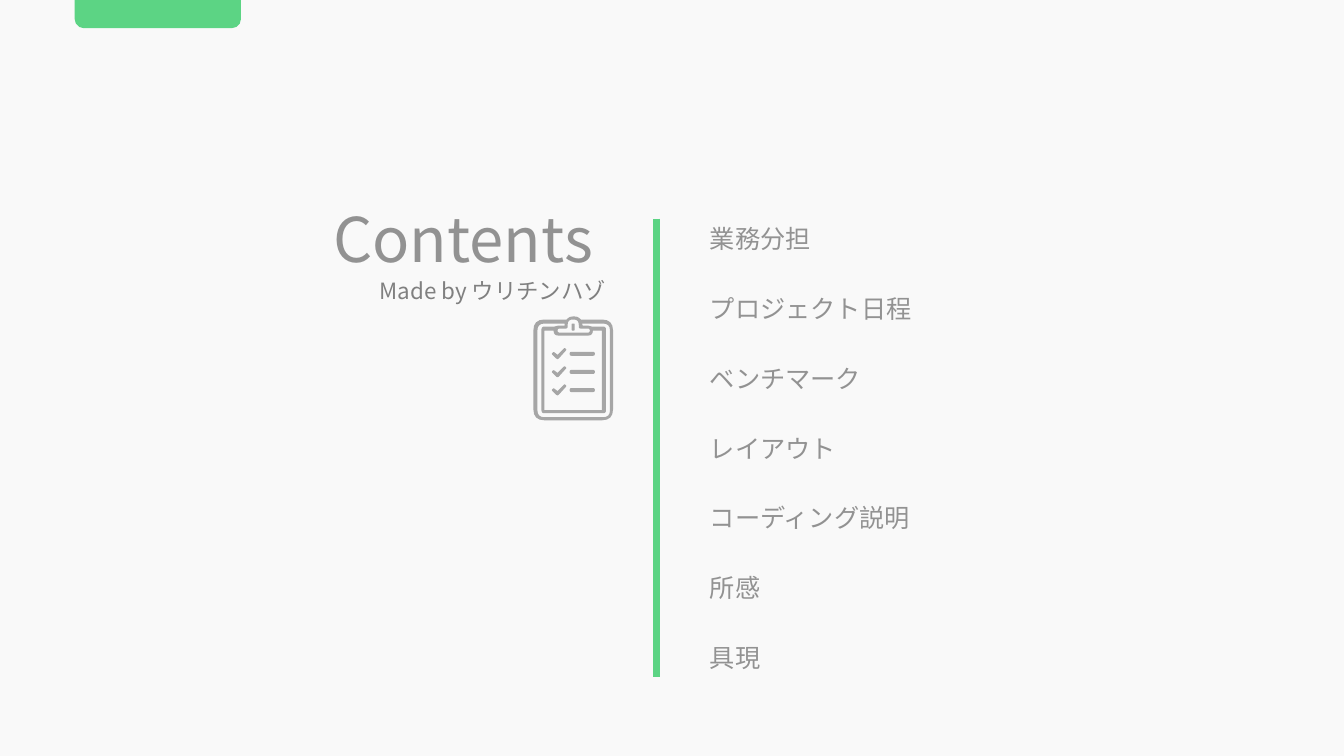
from pptx import Presentation
from pptx.dml.color import RGBColor
from pptx.enum.shapes import MSO_CONNECTOR, MSO_SHAPE
from pptx.enum.text import MSO_ANCHOR, MSO_AUTO_SIZE, PP_ALIGN
from pptx.oxml.ns import qn
from pptx.util import Inches, Pt

FONT = "Noto Sans CJK KR"
COLORS = {"background": "F9F9F9", "green": "5CD484", "text": "929292",
          "author": "808080", "icon": "A6A6A6"}

TITLE = "Contents "
AUTHOR = "Made by ウリチンハゾ"
TOPICS = ["業務分担", "プロジェクト日程", "ベンチマーク", "レイアウト",
          "コーディング説明", "所感", "具現"]
TOPIC_PITCH = 49.8
TOPIC_LINE = 21.6

# Clipboard outlines: corners as (x, y, radius) in inches
BOARD = [
    [(5.29, 3.17, 0.11), (5.62, 3.17, 0), (5.65, 3.14, 0.03), (5.73, 3.14, 0.03),
     (5.76, 3.17, 0), (6.08, 3.17, 0.11), (6.08, 4.17, 0.11), (5.29, 4.17, 0.11)],
    [(5.63, 3.17, 0.05), (5.74, 3.17, 0.05), (5.74, 3.26, 0.02), (5.85, 3.26, 0.02),
     (5.85, 3.3, 0.02), (5.53, 3.3, 0.02), (5.53, 3.26, 0.02), (5.63, 3.26, 0.02)],
    [(5.4, 3.28, 0), (5.49, 3.28, 0), (5.49, 3.33, 0.05), (5.88, 3.33, 0.05),
     (5.88, 3.28, 0), (5.97, 3.28, 0), (5.97, 4.07, 0), (5.4, 4.07, 0)],
    [(5.33, 3.21, 0.07), (5.6, 3.21, 0), (5.6, 3.23, 0), (5.54, 3.23, 0),
     (5.5, 3.24, 0), (5.37, 3.24, 0.03), (5.37, 4.1, 0.03), (6.01, 4.1, 0.03),
     (6.01, 3.24, 0.03), (5.87, 3.24, 0), (5.83, 3.23, 0), (5.78, 3.23, 0),
     (5.77, 3.21, 0), (6.05, 3.21, 0.07), (6.05, 4.14, 0.07), (5.33, 4.14, 0.07)],
]
PIN = [(5.67, 3.21, 0.01), (5.7, 3.21, 0.01), (5.7, 3.28, 0.01), (5.67, 3.28, 0.01)]
DASH = [(5.65, 3.49, 0.02), (5.9, 3.49, 0.02), (5.9, 3.53, 0.02), (5.65, 3.53, 0.02)]
TICK = [(5.47, 3.51, 0.01), (5.49, 3.49, 0.01), (5.53, 3.52, 0), (5.6, 3.45, 0.01),
        (5.62, 3.47, 0.01), (5.53, 3.57, 0.02)]
CHECK_ROWS = 3
CHECK_PITCH = 0.18


def color(name):
    return RGBColor.from_string(COLORS[name])


def fill_plain(shape, name):
    shape.shadow.inherit = False
    shape.fill.solid()
    shape.fill.fore_color.rgb = color(name)
    shape.line.fill.background()


def round_corners(corners, steps=4):
    """Replace each corner by points on a quadratic curve, in EMU."""
    points = []
    for index, (x, y, radius) in enumerate(corners):
        if not radius:
            points.append((x, y))
            continue
        ends = []
        for near_x, near_y, _ in (corners[index - 1], corners[(index + 1) % len(corners)]):
            distance = ((near_x - x) ** 2 + (near_y - y) ** 2) ** 0.5
            share = min(radius / distance, 1)
            ends.append((x + (near_x - x) * share, y + (near_y - y) * share))
        (x1, y1), (x2, y2) = ends
        for step in range(steps + 1):
            t = step / steps
            a, b, c = (1 - t) ** 2, 2 * t * (1 - t), t ** 2
            points.append((a * x1 + b * x + c * x2, a * y1 + b * y + c * y2))
    return [(Inches(x), Inches(y)) for x, y in points]


def draw_outline(shapes, contours):
    builder = None
    for contour in contours:
        start, *others = round_corners(contour)
        if builder is None:
            builder = shapes.build_freeform(*start)
        else:
            builder.move_to(*start)
        builder.add_line_segments(others, close=True)
    fill_plain(builder.convert_to_shape(), "icon")


def place_text(shape, box, lines, size, color_name, alignment, gap=0):
    shape.left, shape.top, shape.width, shape.height = map(Inches, box)
    frame = shape.text_frame
    frame_format = {"word_wrap": True, "auto_size": MSO_AUTO_SIZE.NONE,
                    "vertical_anchor": MSO_ANCHOR.TOP}
    for name, value in frame_format.items():
        setattr(frame, name, value)
    frame.text = "\n".join(lines)
    for index, paragraph in enumerate(frame.paragraphs):
        properties = paragraph._p.get_or_add_pPr()
        properties.set("marL", "0")
        properties.set("indent", "0")
        properties.append(properties.makeelement(qn("a:buNone"), {}))
        paragraph_format = {"alignment": alignment, "line_spacing": 1.0,
                            "space_before": Pt(gap if index else 0)}
        for name, value in paragraph_format.items():
            setattr(paragraph, name, value)
        for run in paragraph.runs:
            run.font.size = Pt(size)
            run.font.name = FONT
            run.font.color.rgb = color(color_name)
            east_asian = run.font._element.makeelement(qn("a:ea"), {"typeface": FONT})
            run.font._element.find(qn("a:latin")).addnext(east_asian)


def main():
    presentation = Presentation()
    presentation.slide_width, presentation.slide_height = Inches(13.33), Inches(7.5)
    slide = presentation.slides.add_slide(presentation.slide_layouts[1])
    slide.background.fill.solid()
    slide.background.fill.fore_color.rgb = color("background")
    shapes = slide.shapes

    place_text(slide.placeholders[1], (6.94, 2.17, 3.95, 4.7), TOPICS, 18, "text",
               PP_ALIGN.LEFT, TOPIC_PITCH - TOPIC_LINE)
    place_text(shapes.title, (0.74, 1.94, 5.38, 0.84), [TITLE], 44, "text", PP_ALIGN.RIGHT)
    author = shapes.add_textbox(0, 0, 0, 0)
    place_text(author, (2.25, 2.7, 3.86, 0.64), [AUTHOR], 16, "author", PP_ALIGN.RIGHT)

    divider = shapes.add_connector(MSO_CONNECTOR.STRAIGHT, Inches(6.51), Inches(2.17),
                                   Inches(6.51), Inches(6.72))
    divider.line.color.rgb = color("green")
    divider.line.width = Pt(4.5)
    properties = divider._element.spPr
    properties.append(properties.makeelement(qn("a:effectLst"), {}))

    clipboard = shapes.add_group_shape().shapes
    draw_outline(clipboard, BOARD)
    draw_outline(clipboard, [PIN])
    for row in range(CHECK_ROWS):
        for mark in (DASH, TICK):
            draw_outline(clipboard, [[(x, y + row * CHECK_PITCH, r) for x, y, r in mark]])

    tab = shapes.add_shape(MSO_SHAPE.ROUND_2_SAME_RECTANGLE, Inches(0.74), 0,
                           Inches(1.65), Inches(0.28))
    tab.adjustments[0], tab.adjustments[1] = 0, 0.33
    fill_plain(tab, "green")

    presentation.save("out.pptx")


if __name__ == "__main__":
    main()
